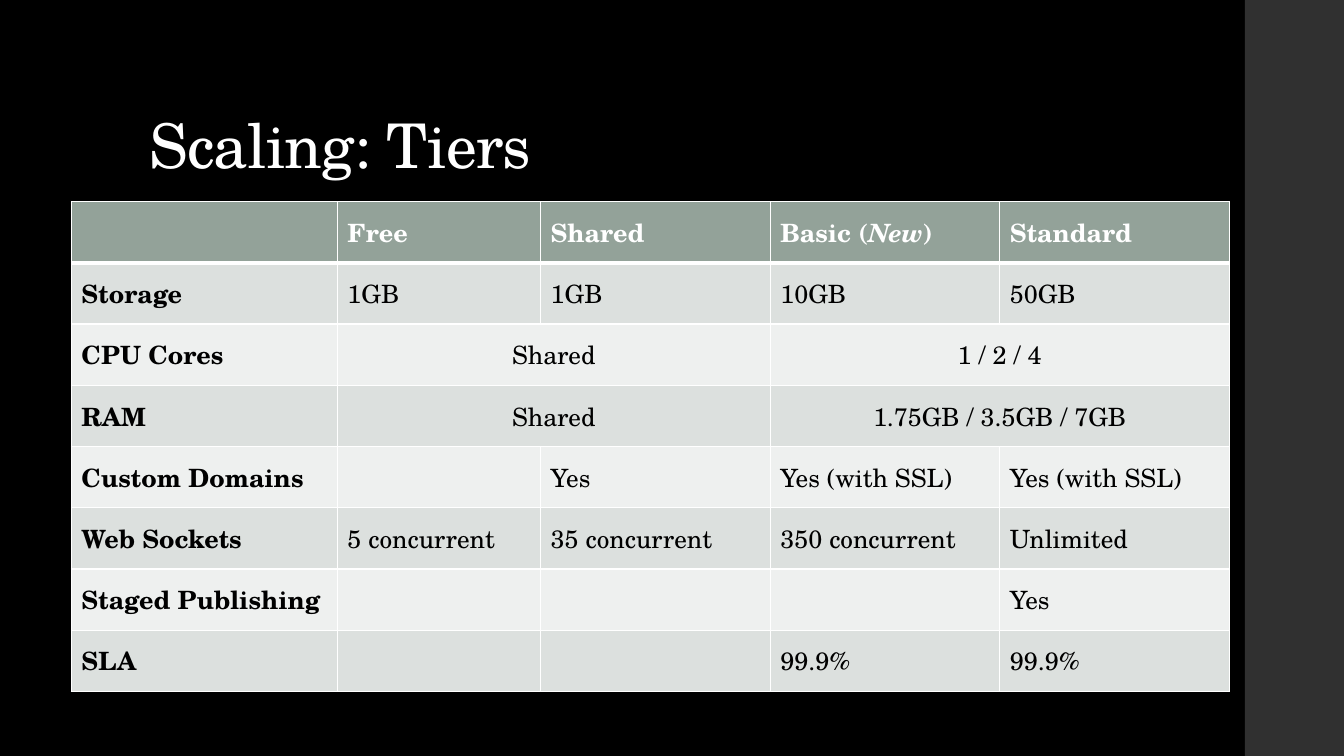
from dataclasses import dataclass

from lxml.etree import SubElement
from pptx import Presentation
from pptx.dml.color import RGBColor
from pptx.enum.shapes import MSO_SHAPE
from pptx.enum.text import MSO_ANCHOR, PP_ALIGN
from pptx.oxml.ns import qn
from pptx.util import Pt


@dataclass(frozen=True)
class Theme:
    font: str = "TeX Gyre Schola"
    background: str = "000000"
    side_band: str = "303030"
    light: str = "FFFFFF"
    dark: str = "000000"
    header: str = "93A299"
    stripes: tuple = ("DCE0DE", "EEF0EF")
    title_size: float = 44
    table_size: float = 18
    rule: float = 1
    header_rule: float = 3


THEME = Theme()

COLUMN_WIDTHS = [190, 145.2, 164, 164, 164]
ROW_HEIGHT = 43.75

# A cell is a text or a list of (text, italic) runs; None joins the cell to its left neighbour
TIERS = [
    ["", "Free", "Shared", [("Basic (", False), ("New", True), (")", False)], "Standard"],
    ["Storage", "1GB", "1GB", "10GB", "50GB"],
    ["CPU Cores", "Shared", None, "1 / 2 / 4", None],
    ["RAM", "Shared", None, "1.75GB / 3.5GB / 7GB", None],
    ["Custom Domains", "", "Yes", "Yes (with SSL)", "Yes (with SSL)"],
    ["Web Sockets", "5 concurrent", "35 concurrent", "350 concurrent", "Unlimited"],
    ["Staged Publishing", "", "", "", "Yes"],
    ["SLA", "", "", "99.9%", "99.9%"],
]


def set_all(target, values):
    for name, value in values.items():
        setattr(target, name, value)


def paint(fill, color):
    fill.solid()
    fill.fore_color.rgb = RGBColor.from_string(color)


def add_span(para, text, size, color, **format_values):
    span = para.add_run()
    span.text = text
    set_all(span.font, {"name": THEME.font, "size": Pt(size), **format_values})
    span.font.color.rgb = RGBColor.from_string(color)
    return span


def add_side_band(page, left, width, height):
    band = page.shapes.add_shape(MSO_SHAPE.RECTANGLE, Pt(left), 0, Pt(width), Pt(height))
    band.shadow.inherit = False
    paint(band.fill, THEME.side_band)
    band.line.fill.background()


def add_title(page, text, left, top, width, height):
    box = page.shapes.add_textbox(Pt(left), Pt(top), Pt(width), Pt(height))
    set_all(box.text_frame, {"word_wrap": True, "vertical_anchor": MSO_ANCHOR.BOTTOM})
    para = box.text_frame.paragraphs[0]
    para.line_spacing = 0.9
    span = add_span(para, text, THEME.title_size, THEME.light)
    span.font._element.set("spc", "-50") if hasattr(span.font, "_element") else \
        span._r.get_or_add_rPr().set("spc", "-50")


def add_borders(cell, widths):
    properties = cell._tc.get_or_add_tcPr()
    for side, width in widths.items():
        line = SubElement(properties, qn(f"a:ln{side}"), w=str(Pt(width)))
        fill = SubElement(line, qn("a:solidFill"))
        SubElement(fill, qn("a:srgbClr"), val=THEME.light)


def style_cell(cell, row):
    widths = dict.fromkeys("LRTB", THEME.rule)
    if row == 0:
        widths["B"] = THEME.header_rule
    elif row == 1:
        widths["T"] = THEME.header_rule
    add_borders(cell, widths)
    paint(cell.fill, THEME.stripes[(row - 1) % 2] if row else THEME.header)
    cell.vertical_anchor = MSO_ANCHOR.MIDDLE


def fill_cell(cell, content, is_header, is_bold, is_joined):
    para = cell.text_frame.paragraphs[0]
    if is_joined:
        para.alignment = PP_ALIGN.CENTER
    runs = [(content, False)] if isinstance(content, str) else content
    color = THEME.light if is_header else THEME.dark
    for text, italic in runs:
        add_span(para, text, THEME.table_size, color, bold=is_bold, italic=italic)


def add_tier_table(page, rows, left, top):
    frame = page.shapes.add_table(
        len(rows), len(COLUMN_WIDTHS), Pt(left), Pt(top),
        Pt(sum(COLUMN_WIDTHS)), Pt(ROW_HEIGHT * len(rows)))
    table = frame.table
    set_all(table, {"first_row": False, "horz_banding": False})
    for column, width in zip(table.columns, COLUMN_WIDTHS):
        column.width = Pt(width)
    for row, contents in enumerate(rows):
        table.rows[row].height = Pt(ROW_HEIGHT)
        for column, content in enumerate(contents):
            cell = table.cell(row, column)
            style_cell(cell, row)
            if content is None:
                table.cell(row, column - 1).merge(cell)
            elif content:
                is_joined = contents[column + 1:column + 2] == [None]
                fill_cell(cell, content, row == 0, row == 0 or column == 0, is_joined)


def main():
    # Deck and page
    deck = Presentation()
    set_all(deck, {"slide_width": Pt(960), "slide_height": Pt(540)})
    page = deck.slides.add_slide(deck.slide_layouts[6])
    paint(page.background.fill, THEME.background)

    # Content
    add_side_band(page, 889.2, 70.8, 540)
    add_title(page, "Scaling: Tiers", 99.4, 28.8, 763.2, 104.4)
    add_tier_table(page, TIERS, 51, 144)

    deck.save("out.pptx")


if __name__ == "__main__":
    main()
